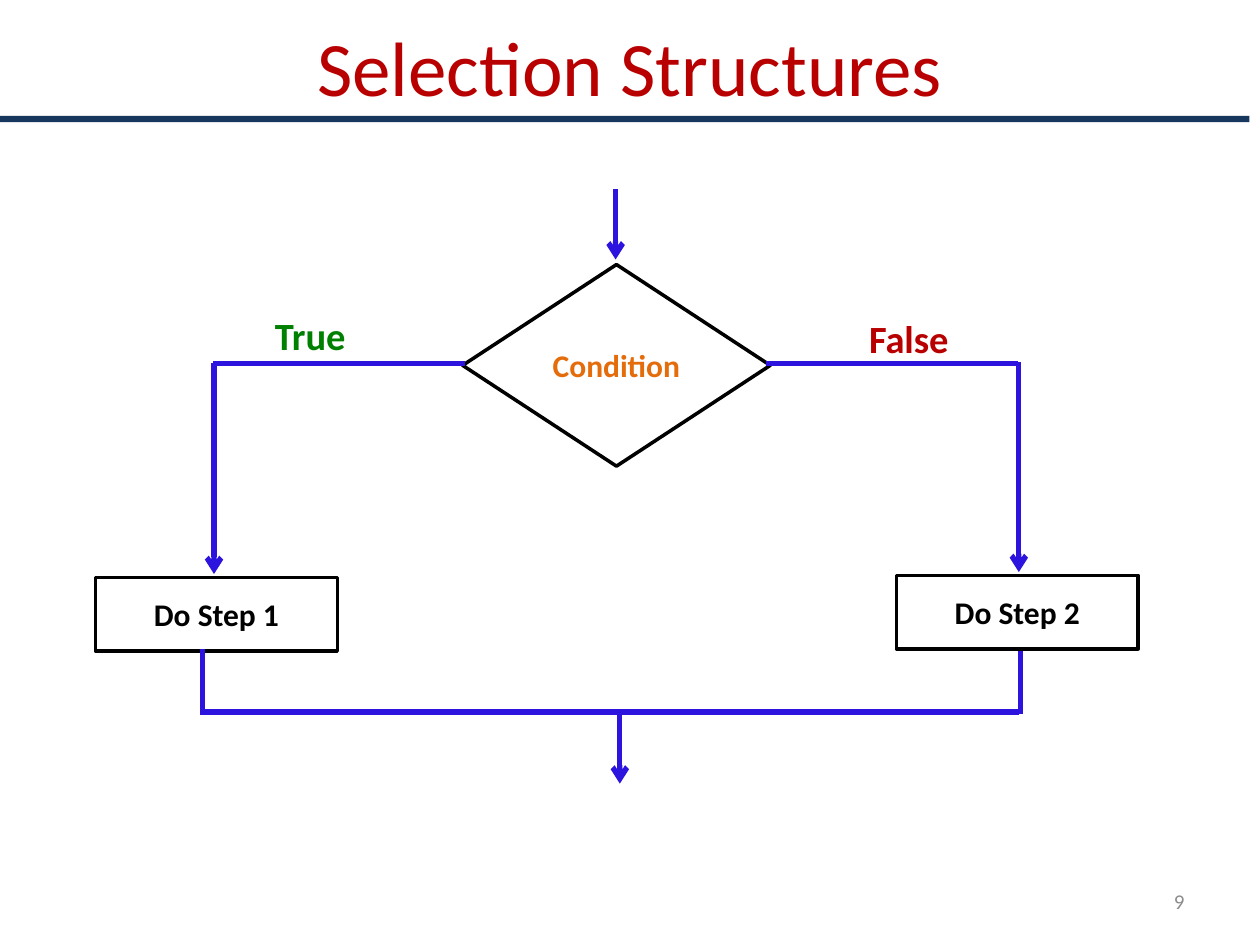
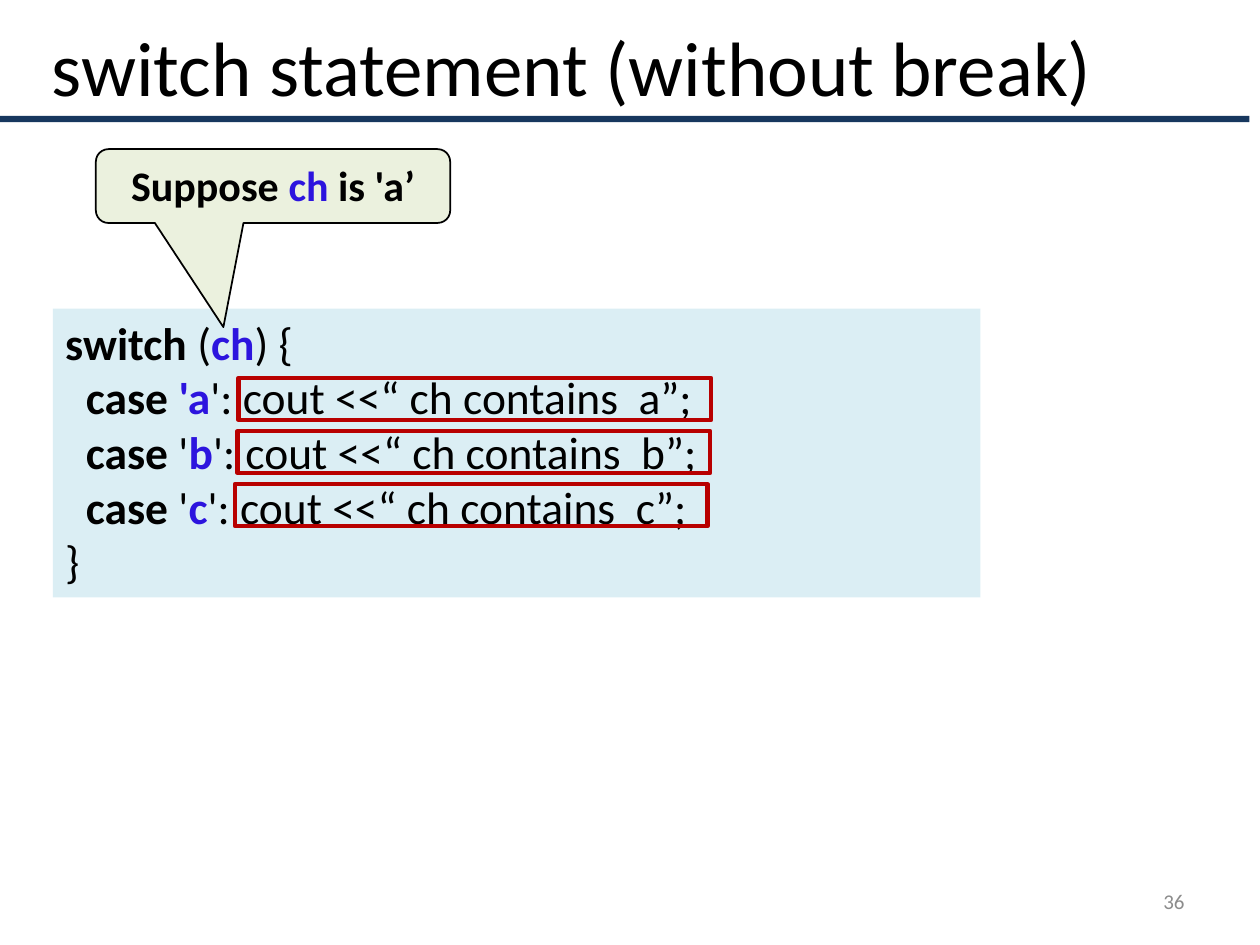
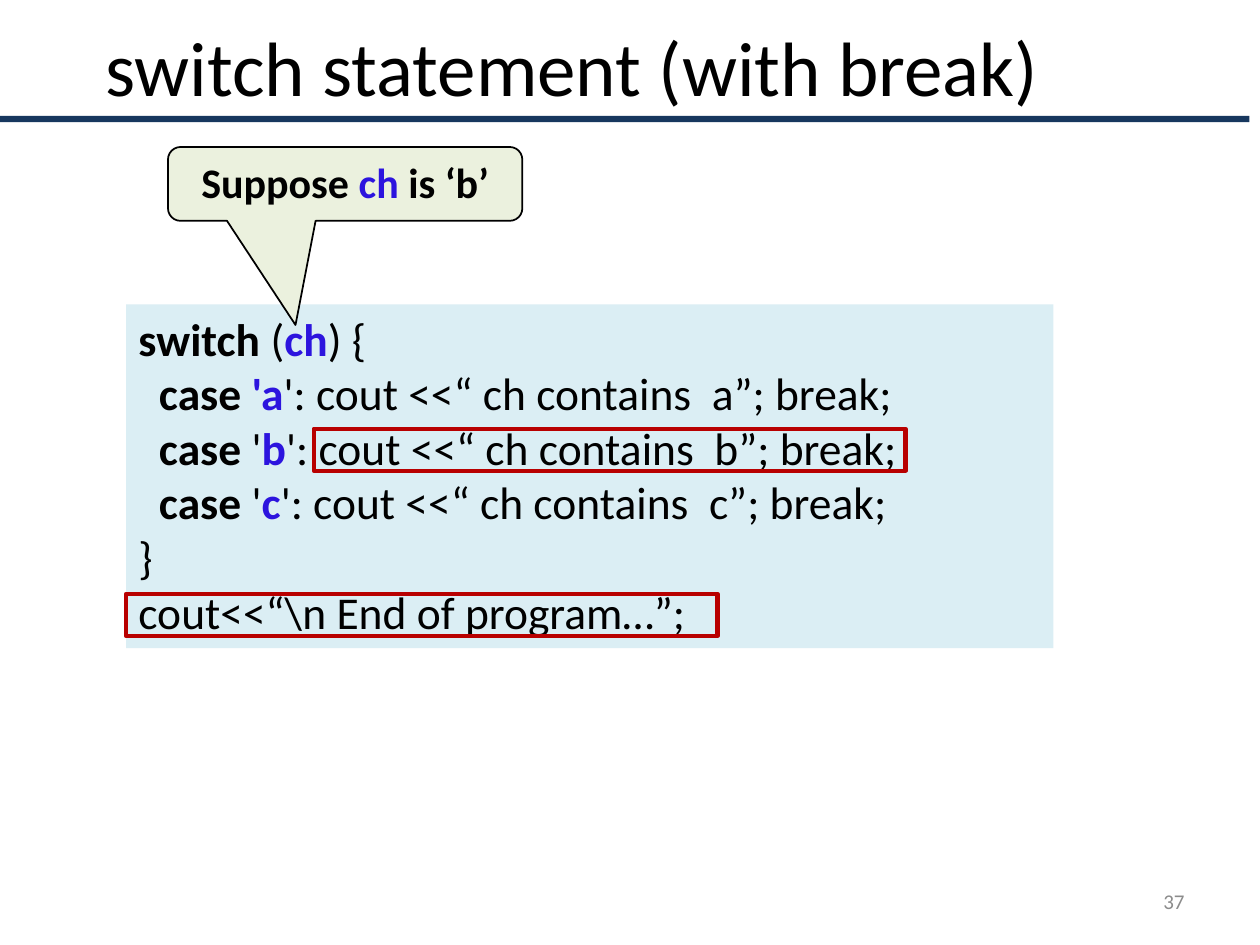
from lxml.etree import SubElement
from pptx import Presentation
from pptx.dml.color import RGBColor
from pptx.enum.shapes import MSO_CONNECTOR, MSO_SHAPE as Preset
from pptx.enum.text import MSO_ANCHOR as Anchor, MSO_AUTO_SIZE as AutoSize, PP_ALIGN as Align
from pptx.oxml.ns import qn
from pptx.util import Pt

FONT = "Calibri"
BLACK, WHITE, GRAY = "000000", "FFFFFF", "8C8C8C"
NAVY, BLUE, RED = "17375E", "2C14DE", "B80000"
GREEN, ORANGE = "008000", "E46C0A"
CODE_FILL, CALLOUT_FILL = "DBEEF4", "EBF1DE"
CODE_INDENT = 11.75
PLAIN = {"bold": False}
STRONG = {"bold": True}
VARIABLE = {"bold": True, "color": BLUE}


def rgb(color):
    return RGBColor.from_string(color)


def write_text(frame, paragraphs, size=18, color=BLACK, bold=False, align=Align.LEFT,
               anchor=Anchor.TOP, wrap=True, indented=()):
    """Fill a frame; a paragraph is a string or a list of (text, format) runs."""
    frame.auto_size = AutoSize.NONE
    frame.word_wrap = wrap
    frame.vertical_anchor = anchor
    for index, runs in enumerate(paragraphs):
        paragraph = frame.add_paragraph() if index else frame.paragraphs[0]
        paragraph.alignment = align
        if index in indented:
            paragraph._p.get_or_add_pPr().set("marL", str(Pt(CODE_INDENT)))
        for text, changes in [(runs, {})] if isinstance(runs, str) else runs:
            run = paragraph.add_run()
            run.text = text
            run.font.name = FONT
            run.font.size = Pt(size)
            run.font.bold = changes.get("bold", bold)
            run.font.color.rgb = rgb(changes.get("color", color))


class Deck:
    def __init__(self):
        self.presentation = Presentation()
        self.presentation.slide_width = Pt(720)
        self.presentation.slide_height = Pt(540)
        self.slide = None

    def add_slide(self, title, number, title_box=(12, 18, 630, 39.6), title_color=BLACK):
        """Start a slide with its title, the band under it and its number."""
        layout = self.presentation.slide_layouts[5]
        self.slide = self.presentation.slides.add_slide(layout)
        shape = self.slide.shapes.title
        shape.left, shape.top, shape.width, shape.height = map(Pt, title_box)
        write_text(shape.text_frame, [title], size=44, color=title_color,
                   align=Align.CENTER, anchor=Anchor.MIDDLE)
        self.shape(Preset.RECTANGLE, (0, 66.2, 714, 3.6), fill=NAVY)
        self.text((516, 500.5, 168, 28.75), str(number), size=12, color=GRAY,
                  align=Align.RIGHT, anchor=Anchor.MIDDLE)

    def shape(self, preset, box, fill=None, line=None, line_width=2):
        shape = self.slide.shapes.add_shape(preset, *map(Pt, box))
        shape.shadow.inherit = False
        if fill:
            shape.fill.solid()
            shape.fill.fore_color.rgb = rgb(fill)
        else:
            shape.fill.background()
        if line:
            shape.line.color.rgb = rgb(line)
            shape.line.width = Pt(line_width)
        else:
            shape.line.fill.background()
        return shape

    def text(self, box, text, **text_format):
        text_box = self.slide.shapes.add_textbox(*map(Pt, box))
        write_text(text_box.text_frame, [text], **text_format)

    def flow_step(self, preset, box, text, color=BLACK):
        step = self.shape(preset, box, fill=WHITE, line=BLACK)
        write_text(step.text_frame, [text], color=color, bold=True,
                   align=Align.CENTER, anchor=Anchor.MIDDLE)

    def flow_line(self, start, end, arrow=False):
        connector = self.slide.shapes.add_connector(
            MSO_CONNECTOR.STRAIGHT, *map(Pt, (*start, *end)))
        connector.line.color.rgb = rgb(BLUE)
        connector.line.width = Pt(3)
        if arrow:
            SubElement(connector.line._get_or_add_ln(), qn("a:tailEnd"), type="arrow")
        SubElement(connector._element.spPr, qn("a:effectLst"))

    def code(self, box, lines):
        panel = self.shape(Preset.RECTANGLE, box, fill=CODE_FILL)
        write_text(panel.text_frame, lines, size=26, indented=range(1, 4))

    def callout(self, left, top, value):
        callout = self.shape(Preset.ROUNDED_RECTANGULAR_CALLOUT, (left, top, 202.5, 42.2),
                             fill=CALLOUT_FILL, line=BLACK, line_width=1)
        for index, adjustment in enumerate((-0.14, 1.91, 0.17)):
            callout.adjustments[index] = adjustment
        runs = [("Suppose ", {}), ("ch", VARIABLE), (f" is {value}", {})]
        write_text(callout.text_frame, [runs], size=24, bold=True, align=Align.CENTER)

    def highlight(self, left, top, width):
        self.shape(Preset.RECTANGLE, (left, top, width, 24), line=RED, line_width=2.5)


def switch_lines(ending=""):
    lines = [[("switch", STRONG), (" (", PLAIN), ("ch", VARIABLE), (") {", PLAIN)]]
    for letter in "abc":
        if letter == "a":
            label = [("case ", STRONG), ("'a", VARIABLE)]
        else:
            label = [("case", STRONG), (" '", PLAIN), (letter, VARIABLE)]
        lines.append(label + [(f"': cout <<“ ch contains  {letter}”;{ending}", PLAIN)])
    return lines + ["}"]


def add_selection_slide(deck):
    deck.add_slide("Selection Structures", 9, title_box=(36, 6.5, 648, 62.6), title_color=RED)
    deck.flow_step(Preset.FLOWCHART_DECISION, (264.4, 151.2, 175.8, 115.2), "Condition", ORANGE)
    deck.flow_step(Preset.RECTANGLE, (54.6, 330, 138.2, 42), "Do Step 1")
    deck.flow_step(Preset.RECTANGLE, (512.2, 328.8, 138.2, 42), "Do Step 2")

    deck.flow_line((351.8, 108), (351.8, 148.3), arrow=True)
    deck.flow_line((582, 207.7), (438, 207.7))
    deck.flow_line((266, 207.7), (121.7, 207.7))
    deck.flow_line((122.3, 207.7), (122.3, 328), arrow=True)
    deck.flow_line((582.2, 206.8), (582.2, 326.9), arrow=True)
    deck.flow_line((582.5, 406.8), (114.5, 406.8))
    deck.flow_line((115.8, 370.8), (115.8, 406.8))
    deck.flow_line((583.2, 372), (583.2, 408))
    deck.flow_line((354.2, 407.5), (354.2, 447.8), arrow=True)

    for left, top, answer, color in ((150, 175, "True", GREEN), (489.5, 176.6, "False", RED)):
        deck.text((left, top, 60, 34), answer, size=22, color=color, bold=True, wrap=False)


def add_without_break_slide(deck):
    deck.add_slide("switch statement (without break)", 36)
    deck.code((30.2, 176.4, 530, 165), switch_lines())
    deck.callout(54.8, 85.2, "'a’")
    for row, left in enumerate((136.3, 135.8, 134.3)):
        deck.highlight(left, 216 + 30.3 * row, 270)


def add_with_break_slide(deck):
    deck.add_slide("switch statement (with break)", 37)
    deck.code((72, 174, 530, 196.4),
              switch_lines(" break;") + ["cout<<“\\n End of program…”;"])
    deck.callout(96, 84, "‘b’")
    for left, top in ((179.4, 245), (72, 339.4)):
        deck.highlight(left, top, 338)


def main():
    deck = Deck()
    add_selection_slide(deck)
    add_without_break_slide(deck)
    add_with_break_slide(deck)
    deck.presentation.save("out.pptx")


if __name__ == "__main__":
    main()
